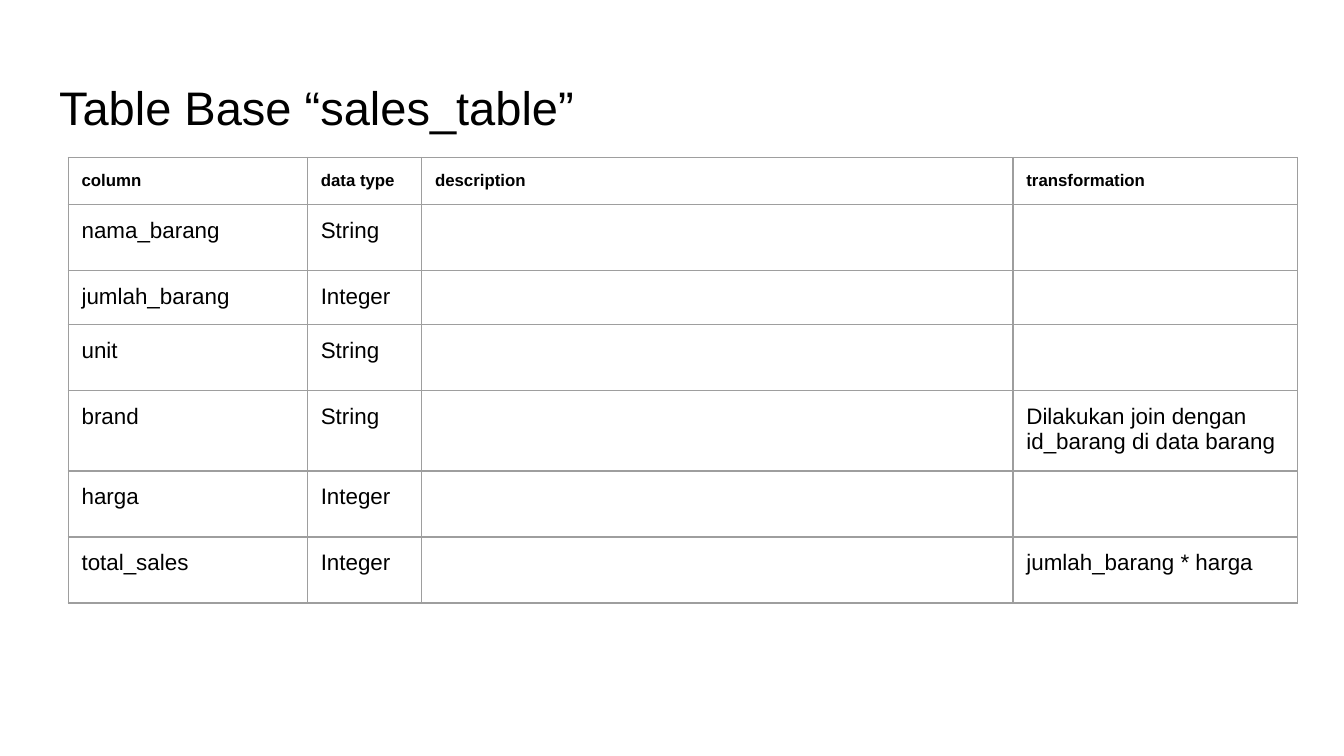
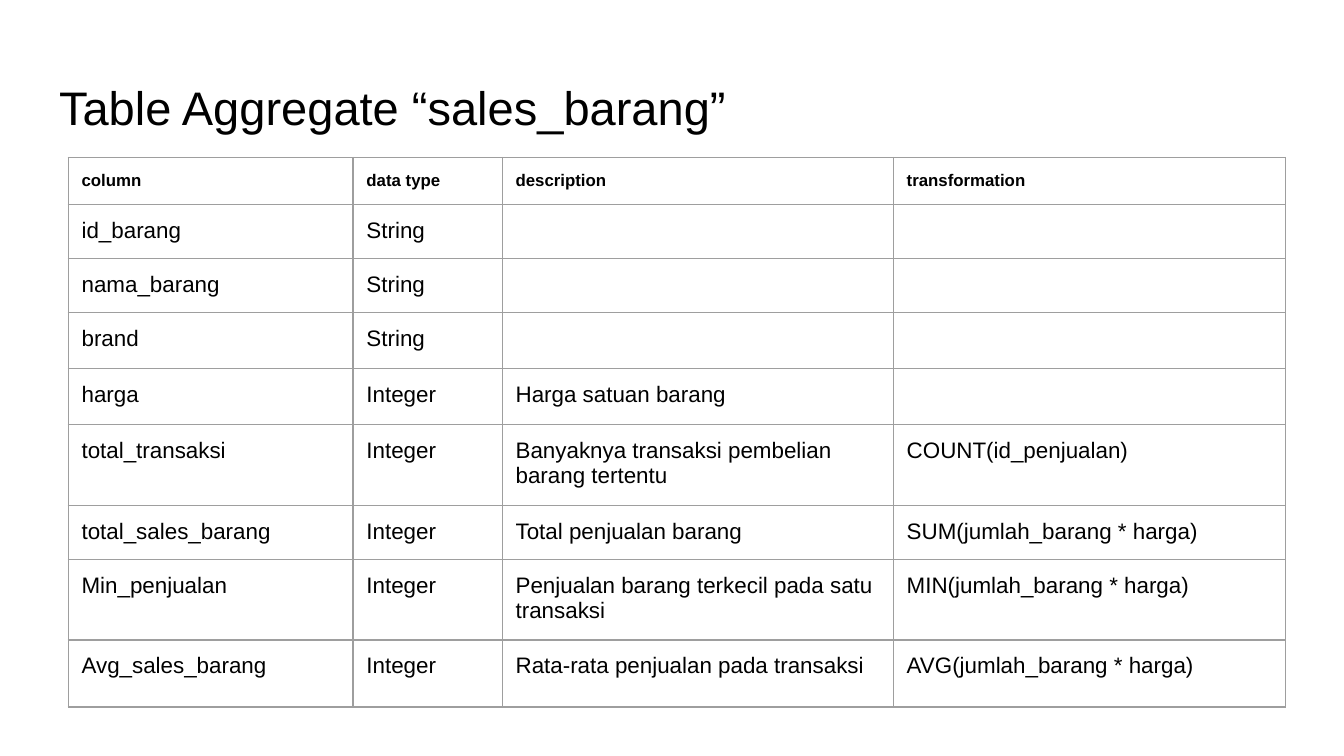
from lxml import etree
from pptx import Presentation, util as u
from pptx.dml.color import RGBColor
from pptx.enum import text
from pptx.oxml.ns import qn

THEME = dict(
    font="Arial", ink=RGBColor(0, 0, 0), paper=RGBColor(255, 255, 255),
    rule="9E9E9E", rule_pt=0.75, title=25.2, head=9, body=12,
)
W = u.Inches(10)
H = W * 9 // 16
X, Y = W / 100, H / 100
PAD = u.Inches(0.1)
MARGINS = {f"margin_{side}": PAD for side in ("left", "right", "top", "bottom")}
HEADER = ("column", "data type", "description", "transformation")

TABLES = [
    dict(
        title="Table Base “sales_table”",
        cols=(17.8, 8.5, 44, 21.2),
        rows=(6.05, 8.73, 6.85, 8.73, 10.2, 8.73, 8.73),
        data=[
            ("nama_barang", "String", "", ""),
            ("jumlah_barang", "Integer", "", ""),
            ("unit", "String", "", ""),
            ("brand", "String", "", "Dilakukan join dengan id_barang di data barang"),
            ("harga", "Integer", "", ""),
            ("total_sales", "Integer", "", "jumlah_barang * harga"),
        ],
    ),
    dict(
        title="Table Aggregate “sales_barang”",
        cols=(21.2, 11.1, 29.1, 29.2),
        rows=(6.25, 6.85, 6.85, 7.45, 7.45, 10.2, 6.85, 10.2, 8.85),
        data=[
            ("id_barang", "String", "", ""),
            ("nama_barang", "String", "", ""),
            ("brand", "String", "", ""),
            ("harga", "Integer", "Harga satuan barang", ""),
            ("total_transaksi", "Integer",
             "Banyaknya transaksi pembelian barang tertentu", "COUNT(id_penjualan)"),
            ("total_sales_barang", "Integer",
             "Total penjualan barang", "SUM(jumlah_barang * harga)"),
            ("Min_penjualan", "Integer",
             "Penjualan barang terkecil pada satu transaksi", "MIN(jumlah_barang * harga)"),
            ("Avg_sales_barang", "Integer",
             "Rata-rata penjualan pada transaksi", "AVG(jumlah_barang * harga)"),
        ],
    ),
]


def write(tf, words, size, bold=False):
    p = tf.paragraphs[0]
    layout = dict(alignment=text.PP_ALIGN.LEFT, line_spacing=1.0,
                  space_before=u.Pt(0), space_after=u.Pt(0))
    for name, value in layout.items():
        setattr(p, name, value)
    if not words:
        etree.SubElement(p._p, qn("a:endParaRPr"), sz=str(size * 100))
        return
    r = p.add_run()
    r.text = words
    r.font.color.rgb = THEME["ink"]
    for name, value in dict(name=THEME["font"], size=u.Pt(size), bold=bold).items():
        setattr(r.font, name, value)


def outline(cell):
    tc_pr = cell._tc.get_or_add_tcPr()
    for tag in ("a:lnL", "a:lnR", "a:lnT", "a:lnB"):
        ln = etree.SubElement(tc_pr, qn(tag), w=str(u.Pt(THEME["rule_pt"])))
        fill = etree.SubElement(ln, qn("a:solidFill"))
        etree.SubElement(fill, qn("a:srgbClr"), val=THEME["rule"])


prs = Presentation()
prs.slide_width, prs.slide_height = W, H

for table in TABLES:
    s = prs.slides.add_slide(prs.slide_layouts[6])
    s.background.fill.solid()
    s.background.fill.fore_color.rgb = THEME["paper"]

    sp = s.shapes.add_textbox(int(X * 3.41), int(Y * 8.65), int(X * 93.2), int(Y * 11.2))
    tf = sp.text_frame
    for name, value in dict(MARGINS, word_wrap=True, vertical_anchor=text.MSO_ANCHOR.TOP).items():
        setattr(tf, name, value)
    write(tf, table["title"], THEME["title"])

    cols = [int(X * share) for share in table["cols"]]
    rows = [int(Y * share) for share in table["rows"]]
    grid = s.shapes.add_table(
        len(rows), len(cols), int(X * 5.07), int(Y * 20.83), sum(cols), sum(rows)
    ).table
    grid.first_row = grid.horz_banding = False
    for col, width in zip(grid.columns, cols):
        col.width = width
    for row, height in zip(grid.rows, rows):
        row.height = height

    for i, record in enumerate([HEADER] + table["data"]):
        for j, words in enumerate(record):
            cell = grid.cell(i, j)
            for name, value in MARGINS.items():
                setattr(cell, name, value)
            outline(cell)
            cell.fill.background()
            write(cell.text_frame, words, THEME["body"] if i else THEME["head"], bold=i == 0)

prs.save("out.pptx")
